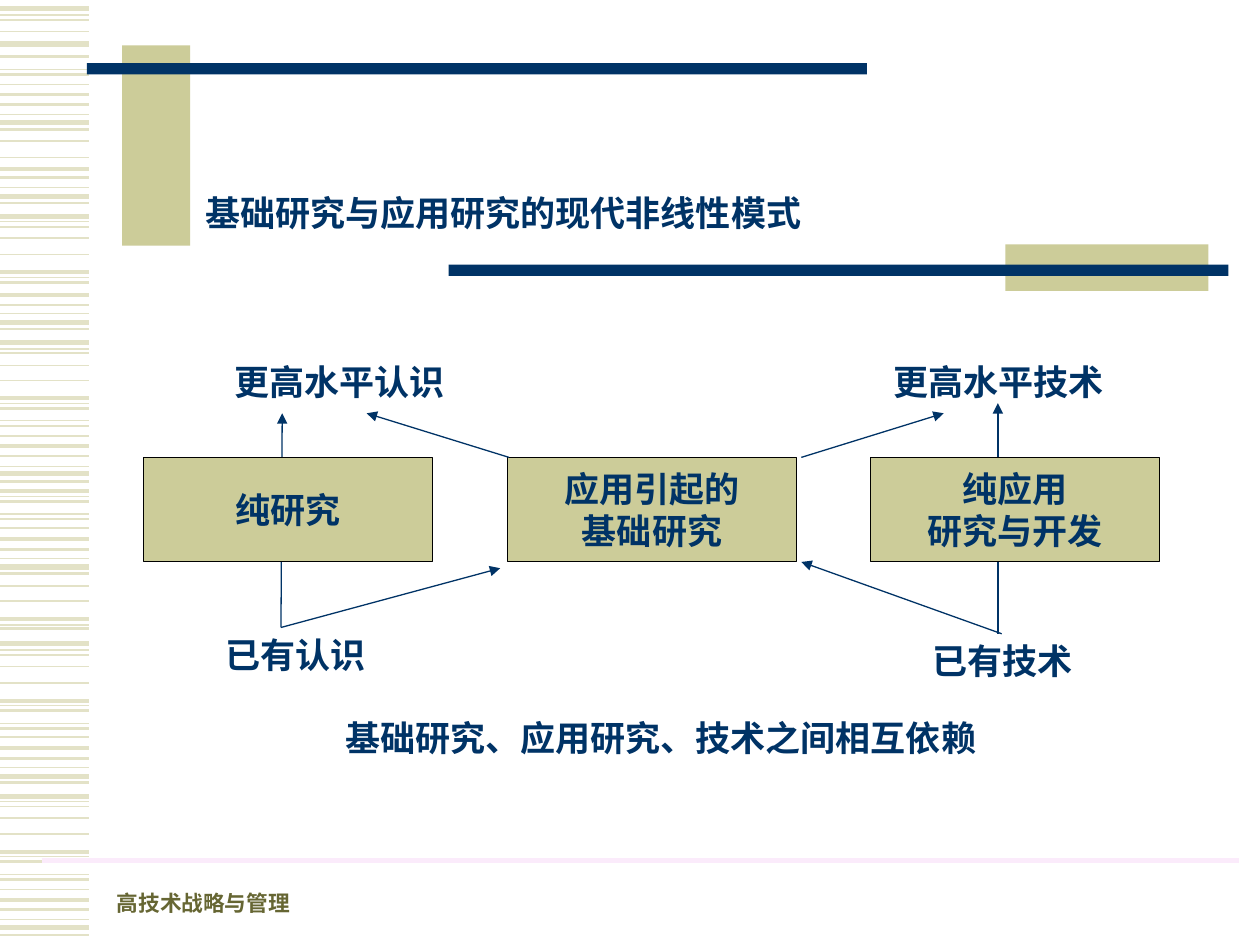
from pptx import Presentation
from pptx import util as u
from pptx.dml.color import RGBColor
from pptx.enum import shapes, text
from pptx.oxml import parse_xml
from pptx.oxml.ns import nsdecls

NAVY = RGBColor(0x00, 0x33, 0x66)
KHAKI = RGBColor(0xCC, 0xCC, 0x99)
STRIPE = RGBColor(0xE3, 0xE2, 0xC7)
PINK = RGBColor(0xFB, 0xEB, 0xFB)
OLIVE = RGBColor(0x66, 0x66, 0x33)
BLACK = RGBColor(0, 0, 0)

prs = Presentation()
prs.slide_width, prs.slide_height = u.Inches(10), u.Inches(7.5)
s = prs.slides.add_slide(prs.slide_layouts[6])


def add_line(x1, y1, x2, y2, color, width, arrow=False):
    c = s.shapes.add_connector(shapes.MSO_CONNECTOR.STRAIGHT, u.Inches(x1),
                               u.Inches(y1), u.Inches(x2), u.Inches(y2))
    c.line.color.rgb = color
    c.line.width = u.Pt(width)
    c._element.spPr.append(parse_xml(f"<a:effectLst {nsdecls('a')}/>"))
    if arrow:
        c.line._get_or_add_ln().append(
            parse_xml(f'<a:tailEnd {nsdecls("a")} type="triangle"/>'))


def write(sp, lines, font, size=20, color=NAVY, align=text.PP_ALIGN.LEFT):
    tf = sp.text_frame
    tf.text = "\n".join(lines)
    for p in tf.paragraphs:
        p.alignment = align
        p.font.name, p.font.size, p.font.bold = font, u.Pt(size), True
        p.font.color.rgb = color
    return tf


# Stripes down the left edge: line width -> heights
stripes = {
    0.75: [0.12, 0.55, 0.91, 1.49, 1.76, 2.2, 2.49, 2.77, 3.2, 3.34, 3.7, 3.94,
           4.08, 4.43, 4.96, 5.16, 5.6, 5.74, 6.09, 6.36, 6.8, 6.94, 7.3],
    1: [0.16, 0.25, 0.67, 1.12, 1.25, 1.8, 1.89, 2.02, 2.8, 2.9, 3.02, 3.46,
        4.19, 4.65, 4.77, 5.2, 5.29, 5.42, 5.85, 6.4, 6.49, 6.62, 7.06],
    1.5: [0.45, 0.59, 0.83, 1.03, 1.41, 1.61, 2.24, 2.42, 2.61, 3.24, 3.38,
          3.62, 3.82, 3.98, 4.12, 4.36, 4.55, 4.99, 5.64, 5.78, 6.02, 6.21,
          6.84, 6.98, 7.22, 7.42],
    2.25: [0.75, 1.34, 2.16, 2.34, 3.16, 3.54, 3.9, 4.28, 4.91, 5.56, 5.94,
           6.76, 7.14],
    3: [0.07, 0.35, 0.97, 1.56, 1.72, 2.56, 2.72, 3.76, 4.5, 5.11, 6.16, 6.32,
        7.36],
}
for width, heights in stripes.items():
    for y in heights:
        add_line(0, y, 0.71, y, STRIPE, width)

# Title bars and footer rule
for x, y, w, h, color in [(0.97, 0.36, 0.54, 1.59, KHAKI),
                          (0.69, 0.5, 6.19, 0.09, NAVY),
                          (7.98, 1.94, 1.61, 0.37, KHAKI),
                          (3.56, 2.1, 6.19, 0.09, NAVY)]:
    sp = s.shapes.add_shape(shapes.MSO_SHAPE.RECTANGLE, u.Inches(x),
                            u.Inches(y), u.Inches(w), u.Inches(h))
    sp.shadow.inherit = False
    sp.fill.solid()
    sp.fill.fore_color.rgb = color
    sp.line.fill.background()
add_line(0.33, 6.83, 9.83, 6.83, PINK, 3)

# Vertical arrows, running behind the boxes
add_line(7.92, 5.03, 7.92, 3.2, NAVY, 0.75, True)
add_line(2.23, 4.98, 2.24, 3.28, NAVY, 0.75, True)

# Research boxes
for x, lines in [(1.14, ["纯研究"]),
                 (4.03, ["应用引起的", "基础研究"]),
                 (6.91, ["纯应用", "研究与开发"])]:
    sp = s.shapes.add_shape(shapes.MSO_SHAPE.RECTANGLE, u.Inches(x),
                            u.Inches(3.63), u.Inches(2.29), u.Inches(0.83))
    sp.shadow.inherit = False
    sp.fill.solid()
    sp.fill.fore_color.rgb = KHAKI
    sp.line.color.rgb = BLACK
    sp.line.width = u.Pt(0.75)
    tf = write(sp, lines, "Karla", align=text.PP_ALIGN.CENTER)
    tf.word_wrap = False
    tf.vertical_anchor = text.MSO_ANCHOR.MIDDLE

# Diagonal arrows
for ends in [(2.23, 4.98, 3.97, 4.51), (6.36, 3.63, 7.49, 3.28),
             (7.95, 5.03, 6.36, 4.46), (4.04, 3.63, 2.91, 3.28)]:
    add_line(*ends, NAVY, 0.75, True)

# Title, labels, conclusion and footer
TOP, BOTTOM = text.MSO_ANCHOR.TOP, text.MSO_ANCHOR.BOTTOM
for x, y, w, h, line, font, size, color, anchor in [
        (1.53, 1.47, 5.12, 0.44, "基础研究与应用研究的现代非线性模式",
         "Times New Roman", 20, NAVY, TOP),
        (1.76, 2.81, 1.98, 0.44, "更高水平认识", "Karla", 20, NAVY, TOP),
        (6.99, 2.81, 1.98, 0.44, "更高水平技术", "Karla", 20, NAVY, TOP),
        (1.69, 4.98, 1.35, 0.44, "已有认识", "Karla", 20, NAVY, TOP),
        (7.3, 5.03, 1.35, 0.44, "已有技术", "Karla", 20, NAVY, TOP),
        (2.64, 5.64, 5.62, 0.44, "基础研究、应用研究、技术之间相互依赖",
         "Karla", 20, NAVY, TOP),
        (0.83, 6.98, 2.6, 0.34, "高技术战略与管理",
         "Times New Roman", 12.4, OLIVE, BOTTOM)]:
    sp = s.shapes.add_textbox(u.Inches(x), u.Inches(y), u.Inches(w), u.Inches(h))
    tf = write(sp, [line], font, size, color)
    tf.word_wrap = True
    tf.vertical_anchor = anchor

prs.save("out.pptx")
